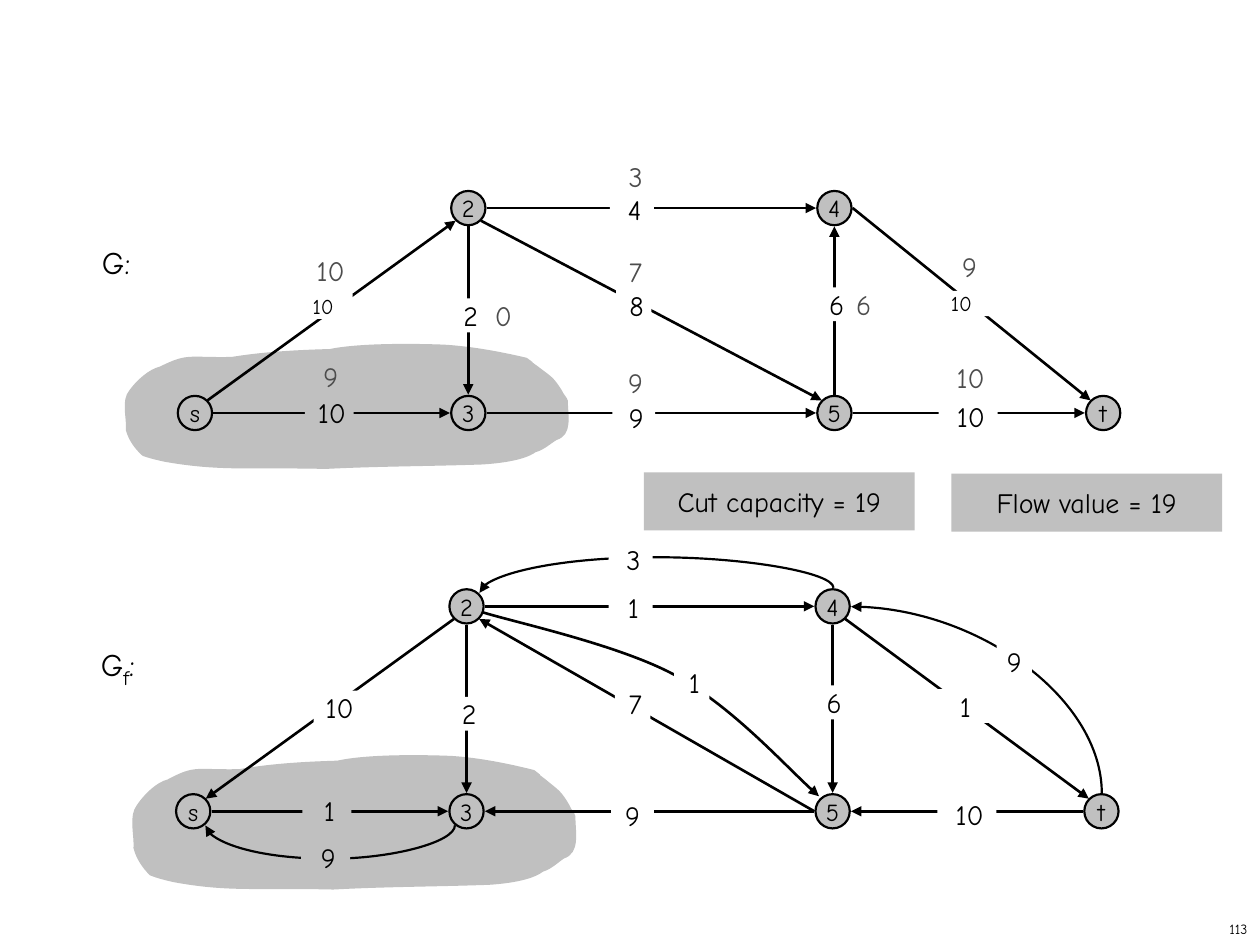
from lxml.etree import SubElement
from pptx import Presentation
from pptx.dml.color import RGBColor
from pptx.enum.shapes import MSO_CONNECTOR as CONN, MSO_SHAPE as SHAPE
from pptx.enum.text import MSO_ANCHOR as ANCHOR, PP_ALIGN as ALIGN
from pptx.oxml.ns import qn
from pptx.util import Pt

FONT = "Comic Neue"
BLACK, WHITE, GRAY, DARK = "000000", "FFFFFF", "C0C0C0", "4D4D4D"
NODE = 19.6
SPACE = 3  # left inset that nudges a label off its box's centre

NODES = {"s": (111.4, 236), "2": (267.6, 118.9), "3": (267.6, 236),
         "4": (476.8, 118.9), "5": (476.8, 236), "t": (630.4, 236)}
STRAIGHT, DIAGONAL = 10.5, 7.2
PORTS = {"N": (0, -STRAIGHT), "S": (0, STRAIGHT),
         "W": (-STRAIGHT, 0), "E": (STRAIGHT, 0),
         "NW": (-DIAGONAL, -DIAGONAL), "NE": (DIAGONAL, -DIAGONAL),
         "SW": (-DIAGONAL, DIAGONAL), "SE": (DIAGONAL, DIAGONAL)}

# Offset of each graph, and its edges: from node, port, to node, port
GRAPHS = [
    ((0, 0), ["s NE 2 SW", "s E 3 W", "3 E 5 W", "2 E 4 W", "2 S 3 N",
              "5 N 4 S", "2 SE 5 NW", "4 E t NW", "5 E t W"]),
    ((-1, 227.6), ["s E 3 W", "5 W 3 E", "2 E 4 W", "2 S 3 N", "4 S 5 N",
                   "4 SE t NW", "t W 5 E", "5 W 2 SE", "2 SW s NE"]),
]

# Curved edges: preset, left, top, width, height, rotation, flips, adjustment
CURVES = [
    ("curvedConnector3", 188.6, 400.4, 0.12, 142.6, 90, "", 168.7),
    ("curvedConnector2", 504.7, 328.3, 106.6, 143.3, 90, "H", None),
    ("curvedConnector3", 373.7, 236.2, 2.9, 202.3, 270, "HV", -6.04),
]
BEND = [(275.8, 349.9), (294.5, 355.7), (354.2, 368.6), (385.9, 385.9),
        (418.3, 403.9), (451.4, 440.6), (468, 455)]

# Outline of the source side of the cut: start, then cubic Bézier triples
CUT = [
    (254, 197), (270, 198), (286, 201), (301, 204.5),
    (310, 211), (297, 202), (307.5, 209.5),
    (314.5, 215), (316, 215), (321, 223),
    (322, 225.5), (324, 227), (324.5, 229),
    (324.5, 237.5), (327.5, 248.5), (318, 251.5),
    (314, 254), (311, 257), (306, 258.5),
    (299, 263.5), (283.5, 265), (275, 265.5),
    (245, 266.5), (215.5, 266.5), (186, 268),
    (142, 267), (126.5, 269.5), (94.5, 264),
    (90, 263), (85.5, 262), (81.5, 260.5),
    (77, 256.5), (73.5, 251.5), (72, 246),
    (72.5, 238.5), (69, 229), (74, 223),
    (78, 217.5), (85, 211), (91.5, 209.5),
    (107.5, 201.5), (107.5, 204.5), (132.5, 204),
    (151, 201), (170, 200), (188.5, 199.5),
    (210, 195), (254, 197), (254, 197),
]
RESIDUAL_CUT = [(x + 4.3, 432 + (y - 197) * 1.075) for x, y in CUT]

# Edge labels: text, left, top, width, fill, left inset
CAPACITIES = [
    ("10", 174.2, 226.1, 28, GRAY, SPACE), ("9", 349.9, 229, 24.5, WHITE, SPACE),
    ("8", 352.1, 164.9, 20.2, WHITE, SPACE), ("4", 348.5, 110.2, 25.2, WHITE, SPACE),
    ("10", 536.4, 228.2, 33.8, WHITE, SPACE), ("6", 460.1, 164.2, 33.1, WHITE, SPACE),
    ("2", 250.6, 170.6, 33.8, WHITE, SPACE),
]
RESIDUALS = [
    ("1", 172.8, 453.6, 28, GRAY, SPACE), ("9", 349.2, 456.5, 24.5, WHITE, 0),
    ("1", 347.8, 337.7, 25.2, WHITE, SPACE), ("1", 532.1, 393.8, 33.1, WHITE, 2 * SPACE),
    ("6", 458.6, 391.7, 33.1, WHITE, SPACE), ("2", 249.8, 398.2, 33.8, WHITE, SPACE),
    ("10", 535.7, 455.8, 33.8, WHITE, SPACE), ("7", 351.4, 392.4, 20.2, WHITE, SPACE),
    ("10", 179.3, 394.6, 26.6, WHITE, SPACE), ("9", 172.1, 480.2, 28, GRAY, SPACE),
    ("9", 569.5, 368.6, 20.2, WHITE, 0), ("3", 347.8, 310.3, 25.2, WHITE, SPACE),
    ("1", 385.2, 380.2, 20.2, WHITE, SPACE),
]
SMALL_CAPACITIES = [("10", 167.8, 167.8, 33.8), ("10", 532.8, 166.3, 33.1)]
FLOWS = [("10", 175.7, 144.7), ("3", 349.9, 91.4), ("9", 540.7, 142.6),
         ("9", 175.7, 205.2), ("9", 349.9, 208.8), ("10", 541.4, 205.9),
         ("7", 349.9, 145.4), ("0", 274.3, 170.6), ("6", 480.2, 164.2)]
NAMES = [(["G:"], 53.3, 139), (["G", "f", ":"], 52.6, 366.5)]
RESULTS = [("Flow value = 19", 543.6, 270.7), ("Cut capacity = 19", 367.9, 270)]
PAGE = "113"


def rgb(color):
    return RGBColor.from_string(color)


def set_text(sp, parts, size, color=BLACK, align=ALIGN.CENTER,
             anchor=ANCHOR.TOP, insets=(0, 0, 0, 0), wrap=True):
    tf = sp.text_frame
    tf.word_wrap = wrap
    tf.vertical_anchor = anchor
    tf.margin_left, tf.margin_top, tf.margin_right, tf.margin_bottom = map(Pt, insets)
    p = tf.paragraphs[0]
    p.alignment = align
    for part in parts:
        r = p.add_run()
        r.text = part
        r.font.name, r.font.size = FONT, Pt(size)
        r.font.color.rgb = rgb(color)
    return p


def set_fill(sp, color):
    sp.shadow.inherit = False
    sp.fill.solid()
    sp.fill.fore_color.rgb = rgb(color)
    sp.line.fill.background()


def add_box(kind, box, fill):
    sp = shapes.add_shape(kind, *map(Pt, box))
    set_fill(sp, fill)
    return sp


def set_arrow(sp, width):
    """Black line with an arrowhead at its end."""
    sp.line.color.rgb = rgb(BLACK)
    sp.line.width = Pt(width)
    SubElement(sp.element.spPr.find(qn("a:ln")), qn("a:tailEnd"), type="triangle")


def add_arrow(kind, start, end, width):
    cn = shapes.add_connector(kind, *map(Pt, (*start, *end)))
    set_arrow(cn, width)
    SubElement(cn.element.spPr, qn("a:effectLst"))
    return cn


def add_curved_edge(preset, x, y, w, h, rotation, flips, adjustment):
    cn = add_arrow(CONN.CURVE, (x, y), (x + w, y + h), 1.25)
    xfrm = cn.element.spPr.find(qn("a:xfrm"))
    xfrm.set("rot", str(rotation * 60000))
    for axis in flips:
        xfrm.set("flip" + axis, "1")
    geom = cn.element.spPr.find(qn("a:prstGeom"))
    geom.set("prst", preset)
    if adjustment is not None:
        SubElement(geom.find(qn("a:avLst")), qn("a:gd"), name="adj1",
                   fmla=f"val {round(adjustment * 100000)}")


def add_bezier(points, close):
    """Freeform whose points after the first are cubic Bézier triples."""
    start, *rest = [(Pt(x), Pt(y)) for x, y in points]
    builder = shapes.build_freeform(*start, scale=1.0)
    builder.add_line_segments(rest, close=close)
    sp = builder.convert_to_shape()
    sp.shadow.inherit = False
    lines = list(sp.element.iter(qn("a:lnTo")))
    outline = lines[0].getparent()
    for i in range(0, len(lines), 3):
        cubic = SubElement(outline, qn("a:cubicBezTo"))
        lines[i].addprevious(cubic)
        for line in lines[i:i + 3]:
            cubic.append(line[0])
            outline.remove(line)
    return sp


prs = Presentation()
prs.slide_width, prs.slide_height = Pt(720), Pt(540)
shapes = prs.slides.add_slide(prs.slide_layouts[6]).shapes

page = shapes.add_textbox(*map(Pt, (570.2, 522, 149.8, 18)))
set_text(page, [PAGE], 8, align=ALIGN.RIGHT, anchor=ANCHOR.MIDDLE,
         insets=(7.2, 3.6, 7.2, 3.6))

for outline in (CUT, RESIDUAL_CUT):
    set_fill(add_bezier(outline, close=True), GRAY)

for (dx, dy), edges in GRAPHS:
    for name, (x, y) in NODES.items():
        node = add_box(SHAPE.OVAL, (x + dx - NODE / 2, y + dy - NODE / 2, NODE, NODE), GRAY)
        node.line.color.rgb = rgb(BLACK)
        node.line.width = Pt(1.25)
        set_text(node, [name], 14, anchor=ANCHOR.MIDDLE,
                 insets=(7.2, 3.6, 7.2, 3.6), wrap=False)
    for edge in edges:
        a, a_port, b, b_port = edge.split()
        start, end = [(NODES[n][0] + PORTS[port][0] + dx, NODES[n][1] + PORTS[port][1] + dy)
                      for n, port in ((a, a_port), (b, b_port))]
        add_arrow(CONN.STRAIGHT, start, end, 1.5)

for curve in CURVES:
    add_curved_edge(*curve)
bend = add_bezier(BEND, close=False)
bend.fill.background()
set_arrow(bend, 1.5)

for text, x, y, w, fill, inset in CAPACITIES + RESIDUALS:
    set_text(add_box(SHAPE.RECTANGLE, (x, y, w, 19.4), fill), [text], 16,
             insets=(inset, 0, 0, 0))
for text, x, y, w in SMALL_CAPACITIES:
    set_text(add_box(SHAPE.RECTANGLE, (x, y, w, 14.4), WHITE), [text], 12)
for text, x, y in FLOWS:
    set_text(shapes.add_textbox(*map(Pt, (x, y, 26.6, 13.7))), [text], 16, DARK)
for parts, x, y in NAMES:
    p = set_text(add_box(SHAPE.RECTANGLE, (x, y, 34.6, 21.6), WHITE), parts, 18,
                 align=ALIGN.LEFT, insets=(5, 0, 0, 0))
    for r in p.runs[1:2]:
        r.font.size = Pt(20)
        r.font.element.set("baseline", "-25000") if hasattr(r.font, "element") else \
            r.font._element.set("baseline", "-25000")
for text, x, y in RESULTS:
    set_text(add_box(SHAPE.RECTANGLE, (x, y, 154.8, 33.1), GRAY), [text], 16,
             anchor=ANCHOR.MIDDLE, insets=(7.2, 10.8, 7.2, 10.8))

prs.save("out.pptx")
